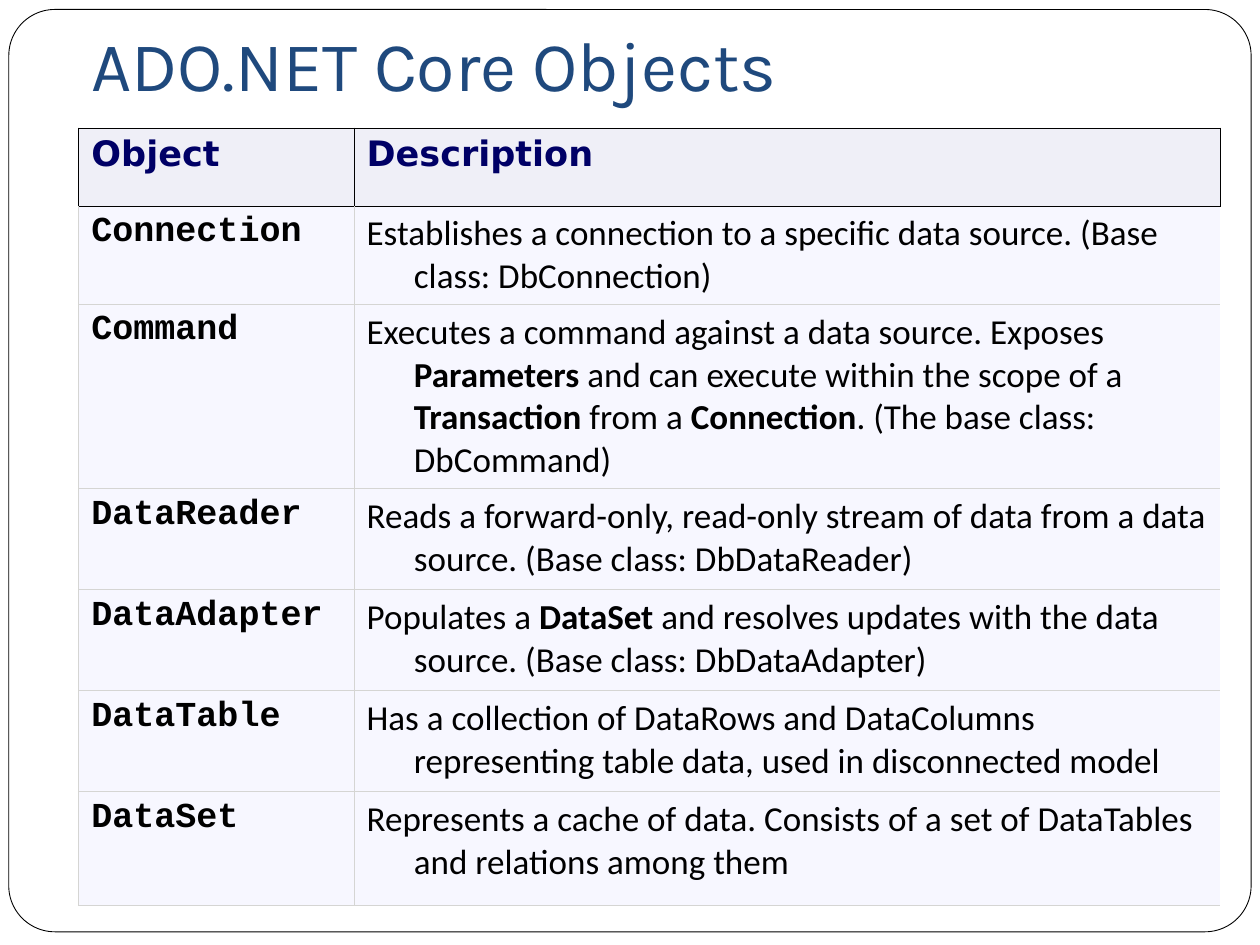
from dataclasses import dataclass
from typing import Any

from lxml.etree import SubElement
from pptx import Presentation
from pptx.dml.color import RGBColor
from pptx.enum.shapes import MSO_SHAPE
from pptx.enum.text import MSO_ANCHOR, MSO_AUTO_SIZE, PP_ALIGN
from pptx.oxml.ns import qn
from pptx.util import Inches, Pt

SLIDE_W, SLIDE_H = Inches(10), Inches(7.5)
GRID_COLS, GRID_ROWS = 100, 75


@dataclass(frozen=True)
class Face:
    name: str
    size: float
    color: str
    bold: bool = False


@dataclass(frozen=True)
class Theme:
    paper: str = "FFFFFF"
    ink: str = "000000"
    rule: str = "D5D5D3"
    head_fill: str = "EFEFF7"
    body_fill: str = "F7F7FF"
    frame_width: float = 0.5
    rule_width: float = 0.45
    title: Face = Face("Karla", 40, "1F497D")
    head: Face = Face("DejaVu Sans", 20, "000066", True)
    code: Face = Face("Courier New", 20, "000000", True)
    body: Face = Face("Calibri", 20, "000000")


@dataclass(frozen=True)
class Box:
    col: float
    row: float
    cols: float
    rows: float

    def emu(self) -> tuple[int, int, int, int]:
        return across(self.col), down(self.row), across(self.cols), down(self.rows)


@dataclass(frozen=True)
class CoreObject:
    name: str
    description: str
    rows: float


THEME = Theme()
FRAME = Box(0.7, 0.75, 98.6, 73.2)
TITLE = Box(6.25, 1.6, 85.2, 7.8)
TABLE = Box(6.25, 10.16, 90.6, 61.64)
COLUMNS = (21.85, 68.75)
HEADER_ROWS = 6.2
HANGING = 3.75

OBJECTS = [
    CoreObject("Connection", "Establishes a connection to a specific data source. "
               "(Base class: DbConnection)", 7.76),
    CoreObject("Command", "Executes a command against a data source. Exposes **Parameters** "
               "and can execute within the scope of a **Transaction** from a **Connection**. "
               "(The base class: DbCommand)", 14.6),
    CoreObject("DataReader", "Reads a forward-only, read-only stream of data from a data source. "
               "(Base class: DbDataReader)", 8.02),
    CoreObject("DataAdapter", "Populates a **DataSet** and resolves updates with the data source. "
               "(Base class: DbDataAdapter)", 8.02),
    CoreObject("DataTable", "Has a collection of DataRows and DataColumns representing table data, "
               "used in disconnected model", 8.02),
    CoreObject("DataSet", "Represents a cache of data. Consists of a set of DataTables "
               "and relations among them", 9.02),
]


def across(cols: float) -> int:
    return round(SLIDE_W * cols / GRID_COLS)


def down(rows: float) -> int:
    return round(SLIDE_H * rows / GRID_ROWS)


def apply(target: Any, values: dict[str, Any]) -> None:
    for name, value in values.items():
        setattr(target, name, value)


def write(p: Any, text: str, face: Face) -> None:
    for i, part in enumerate(text.split("**")):
        r = p.add_run()
        r.text = part
        apply(r.font, {"name": face.name, "size": Pt(face.size),
                       "bold": face.bold or i % 2 == 1})
        r.font.color.rgb = RGBColor.from_string(face.color)


def draw_frame(s: Any) -> None:
    sp = s.shapes.add_shape(MSO_SHAPE.ROUNDED_RECTANGLE, *FRAME.emu())
    sp.adjustments[0] = 0.05
    sp.shadow.inherit = False
    sp.fill.solid()
    sp.fill.fore_color.rgb = RGBColor.from_string(THEME.paper)
    sp.line.color.rgb = RGBColor.from_string(THEME.ink)
    sp.line.width = Pt(THEME.frame_width)
    s.shapes.title.element.addprevious(sp.element)


def draw_title(s: Any, text: str) -> None:
    sp = s.shapes.title
    apply(sp, dict(zip(("left", "top", "width", "height"), TITLE.emu())))
    tf = sp.text_frame
    apply(tf, {"word_wrap": True, "auto_size": MSO_AUTO_SIZE.NONE,
               "vertical_anchor": MSO_ANCHOR.BOTTOM,
               "margin_left": Inches(0.1), "margin_right": Inches(0.1),
               "margin_top": Inches(0.05), "margin_bottom": Inches(0.1)})
    p = tf.paragraphs[0]
    p.alignment = PP_ALIGN.LEFT
    write(p, text, THEME.title)


def set_borders(cell: Any, colors: dict[str, str | None]) -> None:
    tc_pr = cell._tc.get_or_add_tcPr()
    for side in ("L", "R", "T", "B"):
        ln = SubElement(tc_pr, qn(f"a:ln{side}"), w=str(Pt(THEME.rule_width)))
        color = colors[side]
        if color:
            fill = SubElement(ln, qn("a:solidFill"))
            SubElement(fill, qn("a:srgbClr"), val=color)
        else:
            SubElement(ln, qn("a:noFill"))


def fill_cell(cell: Any, text: str, face: Face, fill: str,
              borders: dict[str, str | None]) -> None:
    set_borders(cell, borders)
    cell.fill.solid()
    cell.fill.fore_color.rgb = RGBColor.from_string(fill)
    p = cell.text_frame.paragraphs[0]
    p_pr = p._p.get_or_add_pPr()
    for name, value in {"marL": across(HANGING), "indent": -across(HANGING)}.items():
        p_pr.set(name, str(value))
    write(p, text, face)


def draw_table(s: Any, objects: list[CoreObject]) -> None:
    frame = s.shapes.add_table(len(objects) + 1, len(COLUMNS), *TABLE.emu())
    table = frame.table
    apply(table, {"first_row": False, "horz_banding": False})
    for column, cols in zip(table.columns, COLUMNS):
        column.width = across(cols)
    for row, rows in zip(table.rows, [HEADER_ROWS] + [o.rows for o in objects]):
        row.height = down(rows)
    for c, text in enumerate(("Object", "Description")):
        fill_cell(table.cell(0, c), text, THEME.head, THEME.head_fill,
                  dict.fromkeys("LRTB", THEME.ink))
    for i, item in enumerate(objects, start=1):
        borders = dict.fromkeys("LRTB", THEME.rule)
        if i == 1:
            borders["T"] = THEME.ink
        fill_cell(table.cell(i, 0), item.name, THEME.code, THEME.body_fill, borders)
        fill_cell(table.cell(i, 1), item.description, THEME.body, THEME.body_fill,
                  {**borders, "R": None})


def main() -> None:
    prs = Presentation()
    apply(prs, {"slide_width": SLIDE_W, "slide_height": SLIDE_H})
    s = prs.slides.add_slide(prs.slide_layouts.get_by_name("Title Only"))
    draw_frame(s)
    draw_title(s, "ADO.NET Core Objects")
    draw_table(s, OBJECTS)
    prs.save("out.pptx")


if __name__ == "__main__":
    main()
